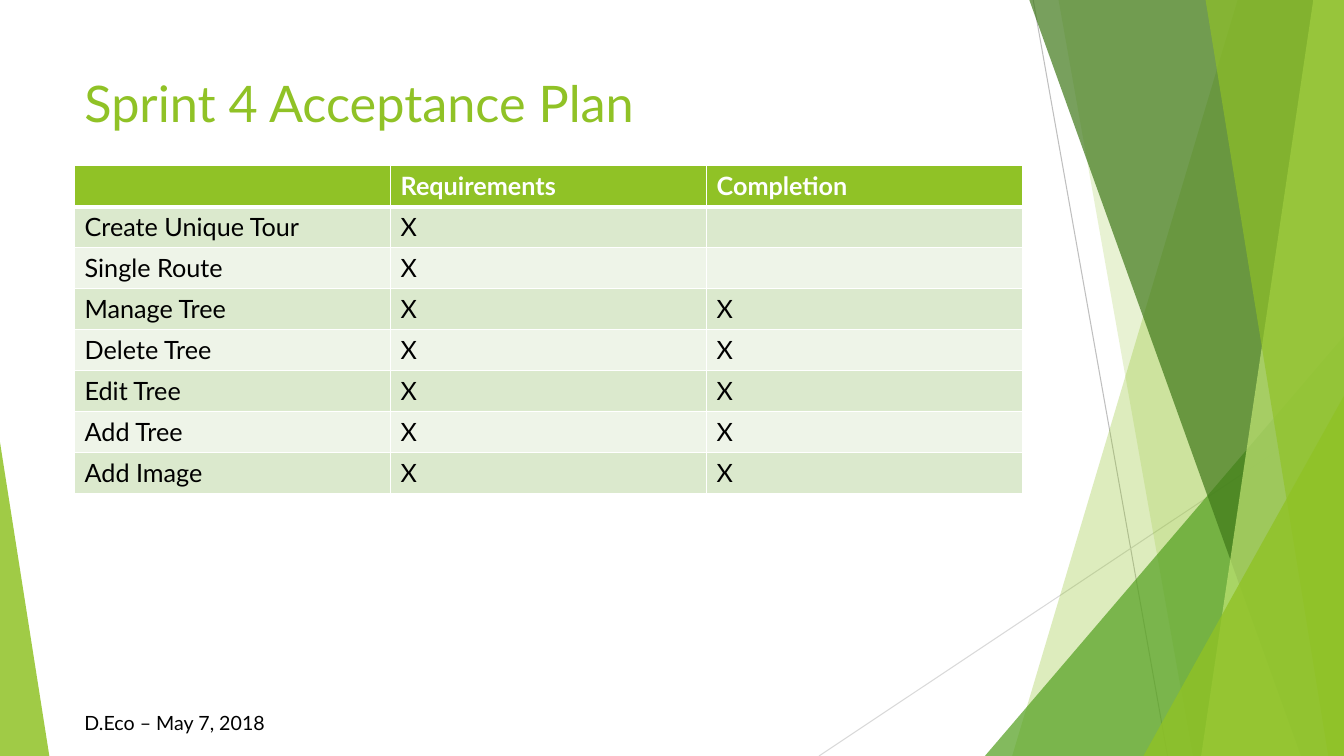
"""Build the Sprint 4 acceptance plan slide."""
from dataclasses import dataclass

from lxml import etree
from pptx import Presentation
from pptx.dml.color import RGBColor
from pptx.enum.shapes import MSO_CONNECTOR, MSO_SHAPE
from pptx.enum.text import MSO_ANCHOR
from pptx.oxml.ns import qn
from pptx.util import Pt

PX = 9525
SLIDE_WIDTH, SLIDE_HEIGHT = 1280, 720
TRIANGLE = MSO_SHAPE.ISOSCELES_TRIANGLE
STRAIGHT = MSO_CONNECTOR.STRAIGHT
TOP = MSO_ANCHOR.TOP
BLANK_LAYOUT = 6


@dataclass(frozen=True)
class Theme:
    """Colours, font and type sizes of the slide."""
    font: str = "Lato"
    accent: str = "90C226"
    leaf: str = "54A021"
    forest: str = "3F7819"
    lime: str = "C0E474"
    white: str = "FFFFFF"
    black: str = "000000"
    band_dark: str = "DBE9CD"
    band_light: str = "EEF4E8"
    line_dark: str = "BFBFBF"
    line_light: str = "D9D9D9"
    title_size: int = 36
    table_size: int = 18
    footer_size: int = 14


THEME = Theme()


@dataclass(frozen=True)
class Ray:
    """Thin straight line across the slide."""
    start: tuple[int, int]
    end: tuple[int, int]
    color: str


@dataclass(frozen=True)
class Blade:
    """Panel with a slanted left edge that reaches the right edge of the slide."""
    top_x: int
    bottom_x: int
    color: str
    opacity: int


@dataclass(frozen=True)
class Corner:
    """Right-angled triangle standing on the bottom edge of the slide."""
    left: int
    width: int
    height: int
    apex: int
    color: str
    opacity: int


RAYS = (
    Ray((984, 0), (1112, 720), THEME.line_dark),
    Ray((1280, 387), (780, 720), THEME.line_light),
)
DECOR = (
    Blade(1179, 964, THEME.accent, 30),
    Blade(1008, 1136, THEME.accent, 20),
    Corner(938, 342, 400, 1, THEME.leaf, 72),
    Blade(980, 1239, THEME.forest, 70),
    Blade(1251, 1144, THEME.lime, 70),
    Blade(1148, 1265, THEME.accent, 65),
    Corner(1089, 191, 343, 1, THEME.accent, 80),
    Corner(0, 47, 299, 0, THEME.accent, 85),
)
ROWS = (
    ("", "Requirements", "Completion"),
    ("Create Unique Tour", "X", ""),
    ("Single Route", "X", ""),
    ("Manage Tree", "X", "X"),
    ("Delete Tree", "X", "X"),
    ("Edit Tree", "X", "X"),
    ("Add Tree", "X", "X"),
    ("Add Image", "X", "X"),
)


def write(text_frame, text: str, *, size: int, color: str, bold: bool = False) -> None:
    """Put formatted text in the first paragraph of a frame."""
    paragraph = text_frame.paragraphs[0]
    paragraph.font.size = Pt(size)
    if text:
        run = paragraph.add_run()
        run.text = text
        run.font.name = THEME.font
        run.font.size = Pt(size)
        run.font.bold = bold
        run.font.color.rgb = RGBColor.from_string(color)


def add_text(slide, box: tuple[int, int, int, int], text: str, **text_format) -> None:
    """Add a wrapping text box anchored at the top."""
    shape = slide.shapes.add_textbox(*(value * PX for value in box))
    shape.text_frame.word_wrap = True
    shape.text_frame.vertical_anchor = TOP
    write(shape.text_frame, text, **text_format)


def paint(shape, color: str, opacity: int) -> None:
    """Give a shape a translucent fill without line or shadow."""
    shape.shadow.inherit = False
    shape.line.fill.background()
    shape.fill.solid()
    shape.fill.fore_color.rgb = RGBColor.from_string(color)
    fill_color = shape.element.spPr.find(f"{qn('a:solidFill')}/{qn('a:srgbClr')}")
    etree.SubElement(fill_color, qn("a:alpha"), val=str(opacity * 1000))


def add_ray(slide, ray: Ray) -> None:
    """Draw one thin line."""
    ends = (value * PX for value in ray.start + ray.end)
    connector = slide.shapes.add_connector(STRAIGHT, *ends)
    connector.line.color.rgb = RGBColor.from_string(ray.color)
    connector.line.width = Pt(0.75)
    etree.SubElement(connector.element.spPr, qn("a:effectLst"))


def add_blade(slide, blade: Blade) -> None:
    """Draw one slanted panel."""
    builder = slide.shapes.build_freeform(blade.top_x, -1, scale=PX)
    builder.add_line_segments([
        (SLIDE_WIDTH, -1), (SLIDE_WIDTH, SLIDE_HEIGHT), (blade.bottom_x, SLIDE_HEIGHT),
    ])
    paint(builder.convert_to_shape(), blade.color, blade.opacity)


def add_corner(slide, corner: Corner) -> None:
    """Draw one triangle."""
    box = (corner.left, SLIDE_HEIGHT - corner.height, corner.width, corner.height)
    shape = slide.shapes.add_shape(TRIANGLE, *(value * PX for value in box))
    shape.adjustments[0] = corner.apex
    paint(shape, corner.color, corner.opacity)


def set_borders(cell, top: int, bottom: int) -> None:
    """Give a cell white borders, with top and bottom widths in points."""
    properties = cell._tc.get_or_add_tcPr()
    for side, width in (("L", 1), ("R", 1), ("T", top), ("B", bottom)):
        line = etree.SubElement(properties, qn(f"a:ln{side}"), w=str(Pt(width)))
        fill = etree.SubElement(line, qn("a:solidFill"))
        etree.SubElement(fill, qn("a:srgbClr"), val=THEME.white)


def add_plan(slide, left: int, top: int, column_width: int, row_height: int) -> None:
    """Add the acceptance table with a header and banded rows."""
    columns = len(ROWS[0])
    box = (left, top, columns * column_width, len(ROWS) * row_height)
    frame = slide.shapes.add_table(len(ROWS), columns, *(value * PX for value in box))
    for row_index, row in enumerate(ROWS):
        header = row_index == 0
        band = THEME.band_dark if row_index % 2 else THEME.band_light
        for column_index, text in enumerate(row):
            cell = frame.table.cell(row_index, column_index)
            set_borders(cell, top=3 if row_index == 1 else 1, bottom=3 if header else 1)
            cell.fill.solid()
            cell.fill.fore_color.rgb = RGBColor.from_string(THEME.accent if header else band)
            write(cell.text_frame, text, size=THEME.table_size, bold=header,
                  color=THEME.white if header else THEME.black)


def main() -> None:
    """Build and save the slide."""
    presentation = Presentation()
    presentation.slide_width = SLIDE_WIDTH * PX
    presentation.slide_height = SLIDE_HEIGHT * PX
    slide = presentation.slides.add_slide(presentation.slide_layouts[BLANK_LAYOUT])
    for ray in RAYS:
        add_ray(slide, ray)
    for part in DECOR:
        if isinstance(part, Blade):
            add_blade(slide, part)
        else:
            add_corner(slide, part)
    add_text(slide, (71, 64, 902, 138), "Sprint 4 Acceptance Plan",
             size=THEME.title_size, color=THEME.accent)
    add_plan(slide, left=71, top=158, column_width=301, row_height=39)
    add_text(slide, (71, 672, 253, 33), "D.Eco – May 7, 2018",
             size=THEME.footer_size, color=THEME.black)
    presentation.save("out.pptx")


if __name__ == "__main__":
    main()
